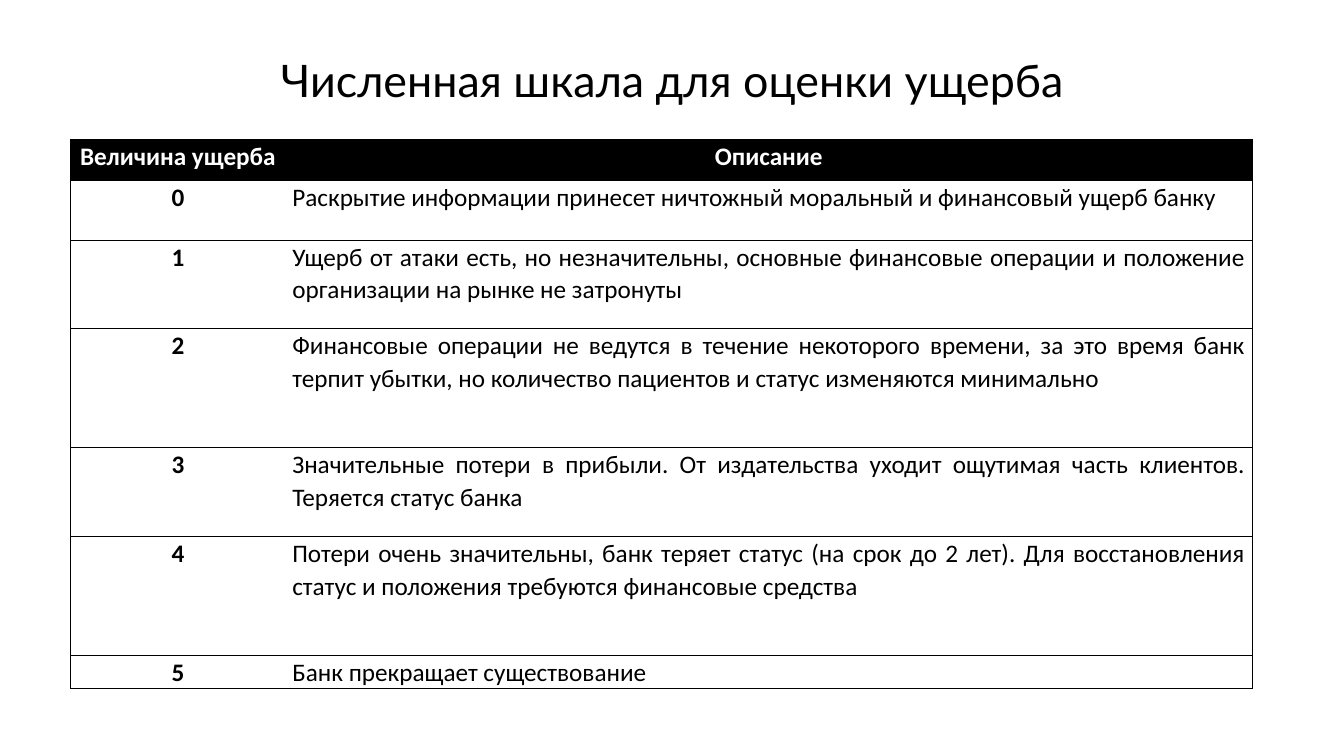
from dataclasses import dataclass

from lxml import etree
from pptx import Presentation
from pptx.dml.color import RGBColor
from pptx.enum import text
from pptx.oxml import ns
from pptx.util import Inches, Pt


@dataclass(frozen=True)
class Theme:
    black: str = "000000"
    white: str = "FFFFFF"
    head_font: str = "Lato"
    body_font: str = "Calibri"
    head_size: float = 32
    body_size: float = 18
    rule: float = 0.5


@dataclass(frozen=True)
class Level:
    mark: str
    note: str
    height: float


THEME = Theme()
WIDTHS = (2.13, 9.59)
LEVELS = (
    Level("Величина ущерба", "Описание", 0.41),
    Level("0", "Раскрытие информации принесет ничтожный моральный и "
          "финансовый ущерб банку", 0.59),
    Level("1", "Ущерб от атаки есть, но незначительны, основные финансовые "
          "операции и положение организации на рынке не затронуты", 0.88),
    Level("2", "Финансовые операции не ведутся в течение некоторого времени, "
          "за это время банк терпит убытки, но количество пациентов и статус "
          "изменяются минимально", 1.18),
    Level("3", "Значительные потери в прибыли. От издательства уходит ощутимая "
          "часть клиентов. Теряется статус банка", 0.88),
    Level("4", "Потери очень значительны, банк теряет статус (на срок до 2 лет). "
          "Для восстановления статус и положения требуются финансовые "
          "средства", 1.18),
    Level("5", "Банк прекращает существование", 0.29),
)


def style(para, font: str, size: float, color: str, bold: bool,
          align, spacing: float) -> None:
    para.alignment = align
    para.line_spacing = spacing
    for run in para.runs:
        run.font.name = font
        run.font.size = Pt(size)
        run.font.bold = bold
        run.font.color.rgb = RGBColor.from_string(color)


def border(cell, sides: str) -> None:
    """Rule the named sides (of L, R, T, B) and clear the others."""
    props = cell._tc.get_or_add_tcPr()
    for place, side in enumerate("LRTB"):
        line = etree.Element(ns.qn(f"a:ln{side}"), w=str(Pt(THEME.rule)))
        if side in sides:
            fill = etree.SubElement(line, ns.qn("a:solidFill"))
            etree.SubElement(fill, ns.qn("a:srgbClr"), val=THEME.black)
        else:
            etree.SubElement(line, ns.qn("a:noFill"))
        props.insert(place, line)


def fill_cell(cell, words: str, head: bool, first: bool) -> None:
    cell.margin_left = cell.margin_right = Inches(0.07)
    cell.margin_top = cell.margin_bottom = 0
    cell.fill.solid()
    cell.fill.fore_color.rgb = RGBColor.from_string(
        THEME.black if head else THEME.white)
    cell.text_frame.text = words
    align = text.PP_ALIGN.CENTER if head or first else text.PP_ALIGN.JUSTIFY
    style(cell.text_frame.paragraphs[0], THEME.body_font, THEME.body_size,
          THEME.white if head else THEME.black, head or first, align, 1.07)
    border(cell, "LTB" if first else "RTB")


def add_title(slide, words: str) -> None:
    title = slide.shapes.title
    title.left, title.top = Inches(0.92), Inches(0.1)
    title.width, title.height = Inches(11.5), Inches(1.45)
    frame = title.text_frame
    frame.text = words
    frame.auto_size = text.MSO_AUTO_SIZE.NONE
    frame.vertical_anchor = text.MSO_ANCHOR.MIDDLE
    style(frame.paragraphs[0], THEME.head_font, THEME.head_size, THEME.black,
          False, text.PP_ALIGN.CENTER, 0.9)


def add_scale(slide) -> None:
    height = sum(level.height for level in LEVELS)
    table = slide.shapes.add_table(
        len(LEVELS), len(WIDTHS), Inches(0.7), Inches(1.38),
        Inches(sum(WIDTHS)), Inches(height)).table
    table.horz_banding = False
    for column, width in zip(table.columns, WIDTHS):
        column.width = Inches(width)
    for row, level in enumerate(LEVELS):
        table.rows[row].height = Inches(level.height)
        for col, words in enumerate((level.mark, level.note)):
            fill_cell(table.cell(row, col), words, row == 0, col == 0)


def main() -> None:
    deck = Presentation()
    deck.slide_width, deck.slide_height = Inches(13.33), Inches(7.5)
    slide = deck.slides.add_slide(deck.slide_layouts.get_by_name("Title Only"))
    add_title(slide, "Численная шкала для оценки ущерба")
    add_scale(slide)
    deck.save("out.pptx")


if __name__ == "__main__":
    main()
